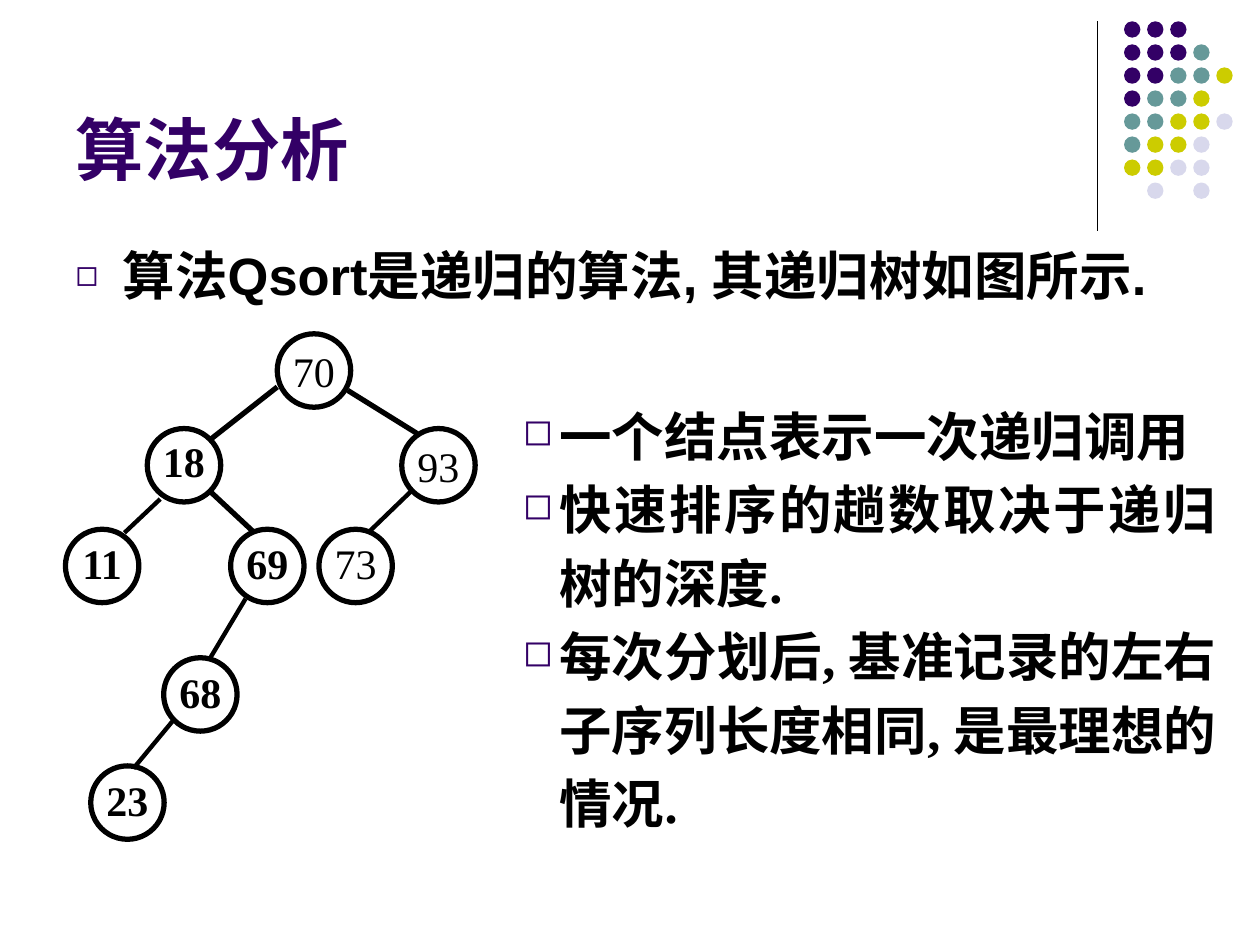
import pptx
import pptx.util
import pptx.dml.color
import pptx.enum.shapes
import pptx.enum.text
import pptx.oxml
import pptx.oxml.ns
from pptx.util import Cm, Pt

COLORS = {"text": "000000", "P": "330066", "T": "669999", "Y": "CCCC00", "L": "D8D8EC"}
RGB = {k: pptx.dml.color.RGBColor.from_string(v) for k, v in COLORS.items()}
ALIGN = pptx.enum.text.PP_ALIGN
ANCHOR = pptx.enum.text.MSO_ANCHOR
SHAPE = pptx.enum.shapes.MSO_SHAPE


def add_line(s, x1, y1, x2, y2, width):
    """Straight black line without shadow; ends in cm, width in points."""
    c = s.shapes.add_connector(pptx.enum.shapes.MSO_CONNECTOR.STRAIGHT,
                               Cm(x1), Cm(y1), Cm(x2), Cm(y2))
    c.line.color.rgb = RGB["text"]
    c.line.width = Pt(width)
    pptx.oxml.ns.qn("a:effectLst")
    c._element.spPr.append(pptx.oxml.parse_xml(
        f'<a:effectLst {pptx.oxml.ns.nsdecls("a")}/>'))


def format_item(p, indent, font):
    """Hollow square bullet with a hanging indent in cm, bold 30 pt text."""
    pPr = p._p.get_or_add_pPr()
    pPr.set("marL", str(Cm(indent)))
    pPr.set("indent", str(-Cm(indent)))
    ns = pptx.oxml.ns.nsdecls("a")
    for xml in (f'<a:buClr {ns}><a:srgbClr val="{COLORS["P"]}"/></a:buClr>',
                f'<a:buSzPct {ns} val="70000"/>',
                f'<a:buChar {ns} char="◻"/>'):
        pPr.append(pptx.oxml.parse_xml(xml))
    p.space_before = Pt(0)
    f = p.runs[0].font
    f.name, f.size, f.bold, f.color.rgb = font, Pt(30), True, RGB["text"]


prs = pptx.Presentation()
prs.slide_width, prs.slide_height = Cm(25.4), Cm(19.05)
s = prs.slides.add_slide(prs.slide_layouts[1])

# Corner decoration: a rule and a grid of dots
add_line(s, 22.12, 0.43, 22.12, 4.65, 0.75)
dot_rows = ["PPP", "PPPT", "PPTTY", "PTTY", "TTYYL", "TYYL", "YYLL", " L L"]
for row, dots in enumerate(dot_rows):
    for col, key in enumerate(dots):
        if key == " ":
            continue
        sp = s.shapes.add_shape(SHAPE.OVAL, Cm(22.66 + 1.86 * col / 4),
                                Cm(0.43 + 3.25 * row / 7), Cm(0.33), Cm(0.33))
        sp.shadow.inherit = False
        sp.fill.solid()
        sp.fill.fore_color.rgb = RGB[key]
        sp.line.fill.background()

# Title
sp = s.shapes.title
sp.left, sp.top, sp.width, sp.height = Cm(1.27), Cm(0.33), Cm(20.96), Cm(3.61)
tf = sp.text_frame
tf.text = "算法分析"
tf.vertical_anchor = ANCHOR.BOTTOM
tf.auto_size = pptx.enum.text.MSO_AUTO_SIZE.NONE
p = tf.paragraphs[0]
p.alignment = ALIGN.LEFT
f = p.runs[0].font
f.name, f.size, f.bold, f.color.rgb = "Arial", Pt(39), True, RGB["P"]

# Statement
sp = s.placeholders[1]
sp.left, sp.top, sp.width, sp.height = Cm(1.27), Cm(4.78), Cm(22.86), Cm(12.24)
tf = sp.text_frame
tf.text = "算法Qsort是递归的算法, 其递归树如图所示."
tf.auto_size = pptx.enum.text.MSO_AUTO_SIZE.NONE
format_item(tf.paragraphs[0], 0.95, "Arial")

# Recursion tree: edges as x1, y1, x2, y2, width
edges = [
    (5.59, 7.8, 4.24, 8.86, 3),
    (7.01, 7.87, 8.41, 8.74, 3),
    (4.24, 9.91, 5.13, 10.74, 3),
    (3.23, 10.06, 2.51, 10.74, 2.5),
    (8.28, 9.91, 7.42, 10.74, 2.5),
    (4.95, 12.07, 4.24, 13.26, 2.5),
    (3.51, 14.5, 2.69, 15.49, 2.5),
]
for edge in edges:
    add_line(s, *edge)

# Nodes as label, left, top, bold, bottom inset
nodes = [
    ("70", 5.59, 6.73, False, 0),
    ("18", 2.97, 8.64, True, 0),
    ("93", 8.1, 8.64, False, 0),
    ("11", 1.32, 10.67, True, 0.13),
    ("69", 4.65, 10.67, True, 0.13),
    ("73", 6.43, 10.67, False, 0.13),
    ("68", 3.3, 13.26, True, 0.13),
    ("23", 1.83, 15.44, True, 0.13),
]
for label, x, y, bold, bottom in nodes:
    sp = s.shapes.add_shape(SHAPE.OVAL, Cm(x), Cm(y), Cm(1.48), Cm(1.48))
    sp.shadow.inherit = False
    sp.fill.background()
    sp.line.color.rgb = RGB["text"]
    sp.line.width = Pt(3)
    tf = sp.text_frame
    tf.text = label
    tf.word_wrap = False
    tf.vertical_anchor = ANCHOR.MIDDLE
    tf.margin_left = tf.margin_right = tf.margin_top = 0
    tf.margin_bottom = Cm(bottom)
    p = tf.paragraphs[0]
    p.alignment = ALIGN.CENTER
    if label == "18":
        p.line_spacing = Pt(24)
    f = p.runs[0].font
    f.name, f.size, f.bold, f.color.rgb = "Times New Roman", Pt(24), bold, RGB["text"]

# Remarks beside the tree
remarks = ["一个结点表示一次递归调用",
           "快速排序的趟数取决于递归树的深度.",
           "每次分划后, 基准记录的左右子序列长度相同, 是最理想的情况."]
tf = s.shapes.add_textbox(Cm(10.29), Cm(7.8), Cm(14.48), Cm(9.14)).text_frame
tf.word_wrap = True
tf.text = "\n".join(remarks)
for p in tf.paragraphs:
    p.alignment = ALIGN.JUSTIFY
    p.line_spacing = Pt(42)
    format_item(p, 0.74, "Times New Roman")

prs.save("out.pptx")
